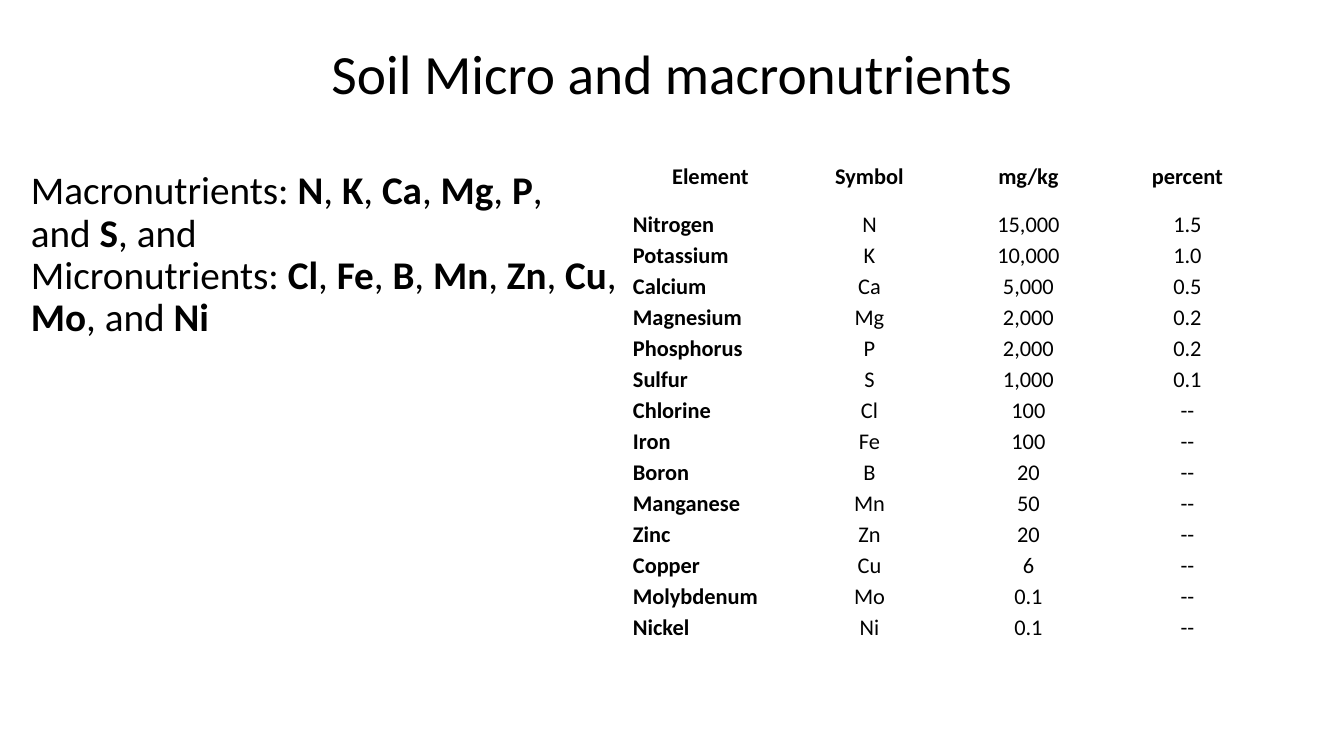
from pptx import Presentation
from pptx.dml.color import RGBColor
from pptx.enum.text import MSO_ANCHOR, MSO_AUTO_SIZE, PP_ALIGN
from pptx.util import Emu, Pt

MIDDLE = MSO_ANCHOR.MIDDLE
NO_FIT = MSO_AUTO_SIZE.NONE
LEFT, CENTER = PP_ALIGN.LEFT, PP_ALIGN.CENTER

PX_PER_INCH = 100.8
FONT = "Calibri"
BLACK = RGBColor(0x00, 0x00, 0x00)
NBSP = chr(160)
MACRO_COUNT = 6

HEADERS = ["Element", "Symbol", "mg/kg", "percent"]
NUTRIENTS = [
    ("Nitrogen", "N", "15,000", "1.5"),
    ("Potassium", "K", "10,000", "1.0"),
    ("Calcium", "Ca", "5,000", "0.5"),
    ("Magnesium", "Mg", "2,000", "0.2"),
    ("Phosphorus", "P", "2,000", "0.2"),
    ("Sulfur", "S", "1,000", "0.1"),
    ("Chlorine", "Cl", "100", "--"),
    ("Iron", "Fe", "100", "--"),
    ("Boron", "B", "20", "--"),
    ("Manganese", "Mn", "50", "--"),
    ("Zinc", "Zn", "20", "--"),
    ("Copper", "Cu", "6", "--"),
    ("Molybdenum", "Mo", "0.1", "--"),
    ("Nickel", "Ni", "0.1", "--"),
]


def px(n):
    return Emu(round(n * 914400 / PX_PER_INCH))


def add_run(p, text, size, bold=False):
    r = p.add_run()
    r.text = text
    r.font.name = FONT
    r.font.size = Pt(size)
    r.font.bold = bold
    r.font.color.rgb = BLACK


def add_title(s, text):
    title = s.shapes.title
    title.left, title.top, title.width, title.height = px(93), px(40), px(1158), px(73)
    tf = title.text_frame
    tf.auto_size = NO_FIT
    tf.vertical_anchor = MIDDLE
    p = tf.paragraphs[0]
    p.alignment = CENTER
    p.line_spacing = 0.9
    add_run(p, text, 39.6)


def add_symbol_list(p, label, symbols):
    """Add the label and its symbols in bold, joined as a sentence."""
    add_run(p, f"{label}:{NBSP}", 28)
    for i, symbol in enumerate(symbols):
        if i:
            joint = ", and" if i == len(symbols) - 1 else ","
            add_run(p, joint + NBSP, 28)
        add_run(p, symbol, 28, bold=True)


def add_summary(s):
    tf = s.shapes.add_textbox(px(21), px(166), px(622), px(252)).text_frame
    tf.word_wrap = True
    p = tf.paragraphs[0]
    p.line_spacing = 0.9
    symbols = [row[1] for row in NUTRIENTS]
    add_symbol_list(p, "Macronutrients", symbols[:MACRO_COUNT])
    add_run(p, f", and{NBSP}", 28)
    p.add_line_break()
    add_symbol_list(p, "Micronutrients", symbols[MACRO_COUNT:])


def fill_cell(cell, text, align, bold):
    cell.fill.background()
    cell.vertical_anchor = MIDDLE
    cell.margin_left = cell.margin_right = px(2)
    cell.margin_top = cell.margin_bottom = px(2)
    p = cell.text_frame.paragraphs[0]
    p.alignment = align
    add_run(p, text, 16, bold)


def add_nutrient_table(s):
    rows = [HEADERS, *NUTRIENTS]
    col_width, header_height, row_height = 159, 65, 31
    table = s.shapes.add_table(
        len(rows), len(HEADERS), px(631), px(144),
        px(col_width * len(HEADERS)),
        px(header_height + row_height * len(NUTRIENTS))).table
    table.first_row = table.horz_banding = False
    for column in table.columns:
        column.width = px(col_width)
    for i, row in enumerate(rows):
        table.rows[i].height = px(row_height if i else header_height)
        for j, text in enumerate(row):
            align = LEFT if i and j == 0 else CENTER
            fill_cell(table.cell(i, j), text, align, bold=i == 0 or j == 0)


def main():
    prs = Presentation()
    prs.slide_width, prs.slide_height = px(1344), px(756)
    s = prs.slides.add_slide(prs.slide_layouts[5])
    add_title(s, "Soil Micro and macronutrients")
    add_summary(s)
    add_nutrient_table(s)
    prs.save("out.pptx")


if __name__ == "__main__":
    main()
